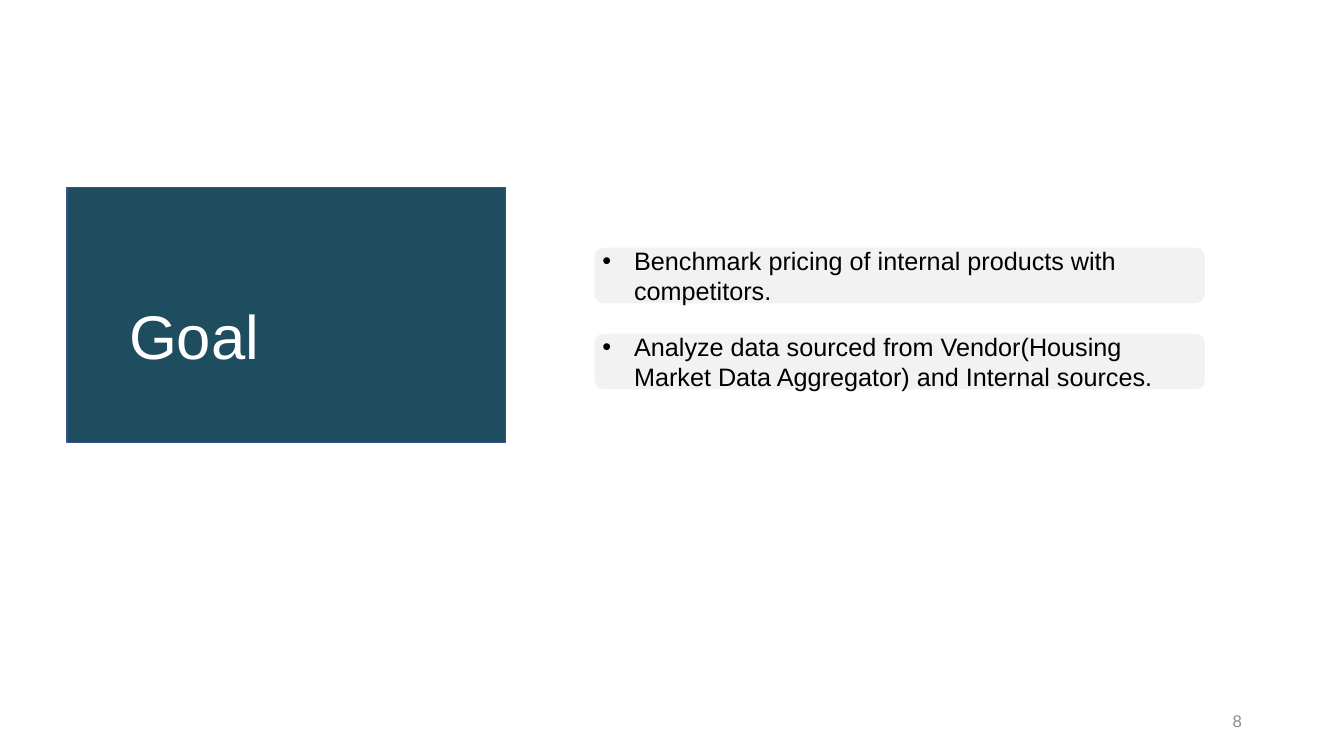
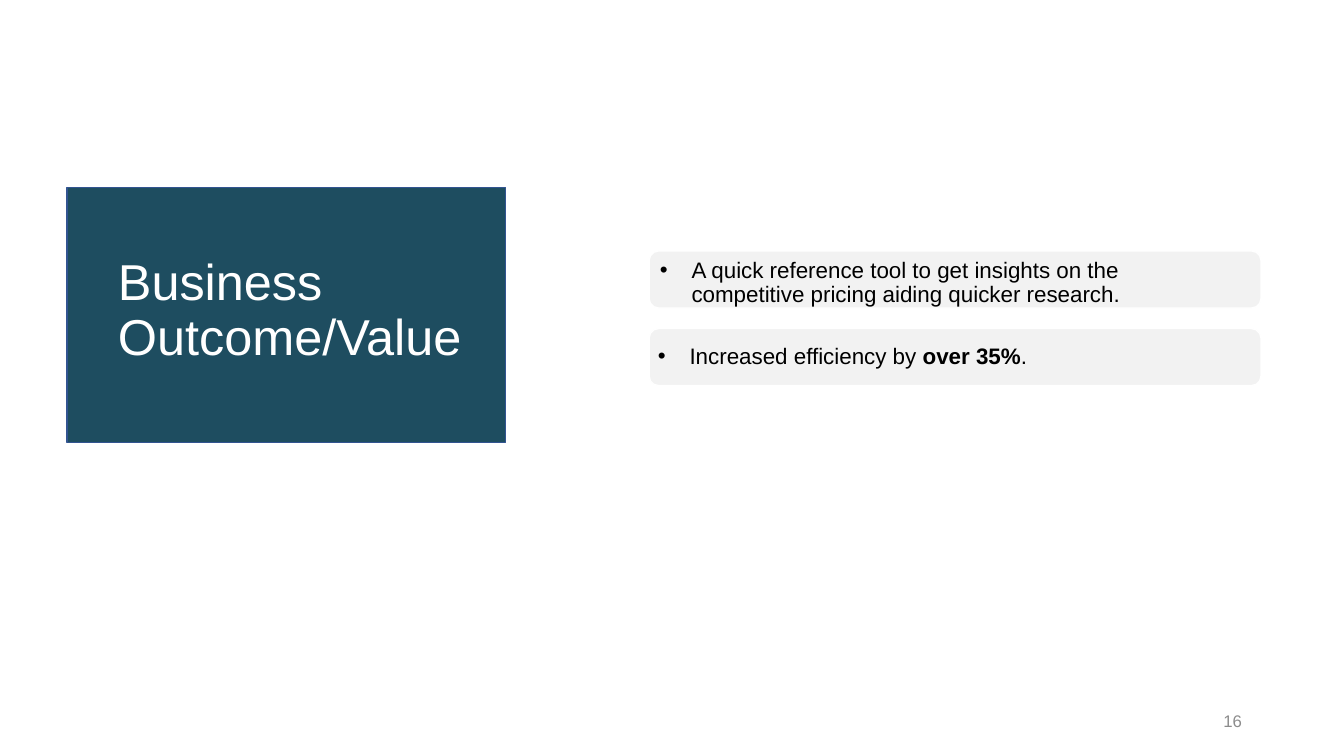
from lxml import etree
from pptx import Presentation
from pptx.dml.color import RGBColor
from pptx.enum.shapes import MSO_SHAPE
from pptx.enum.text import MSO_ANCHOR, MSO_AUTO_SIZE, PP_ALIGN
from pptx.oxml.ns import qn
from pptx.util import Inches, Pt

RECT, ROUNDED = MSO_SHAPE.RECTANGLE, MSO_SHAPE.ROUNDED_RECTANGLE
MIDDLE, NO_FIT = MSO_ANCHOR.MIDDLE, MSO_AUTO_SIZE.NONE
LEFT, RIGHT = PP_ALIGN.LEFT, PP_ALIGN.RIGHT

WIDTH, HEIGHT = Inches(13.33), Inches(7.5)
CELL = WIDTH / 40
TITLE_ONLY = 5
FONT = "Arial"
TEAL, BLUE, PALE = "1E4D60", "325491", "F2F2F2"
WHITE, BLACK, GREY = "FFFFFF", "000000", "8C8C8C"

BAND = (2, 5.58, 13.05, 7.59)
NUMBER = (28.26, 20.85, 9, 1.2)
PILL_W, PILL_H = 18.21, 1.7
INDENT = 0.94
PLAIN_INSETS = (0.18, 0.18, 0.18, 0.18)
NARROW_INSETS = (0.24, 0.24, 1.92, 0)

SLIDES = [
    {
        "title": "Goal", "title_size": 44, "title_box": (1.54, 2.34, 9.21, 4.35),
        "number": "8", "origin": (17.67, 7.35), "step": 2.56,
        "size": 18, "spacing": 1.0,
        "items": [
            (PLAIN_INSETS, [("Benchmark pricing of internal products with competitors.", False)]),
            (PLAIN_INSETS, [("Analyze data sourced from Vendor(Housing Market Data Aggregator) "
                             "and Internal sources.", False)]),
        ],
    },
    {
        "title": "Business Outcome/Value", "title_size": 36, "title_box": (1.21, 1.8, 13.29, 3.81),
        "number": "16", "origin": (19.32, 7.47), "step": 2.31,
        "size": 16, "spacing": 0.9,
        "items": [
            (NARROW_INSETS, [("A quick reference tool to get insights on the competitive "
                              "pricing aiding quicker research.", False)]),
            (PLAIN_INSETS, [("Increased efficiency by ", False), ("over 35%", True), (".", False)]),
        ],
    },
]


def rgb(color):
    """Turn a hex string into a colour."""
    return RGBColor.from_string(color)


def cells(*values):
    """Turn grid cells into lengths."""
    return [round(v * CELL) for v in values]


def apply(target, formats):
    """Set each attribute of the target from a dict."""
    for name, value in formats.items():
        setattr(target, name, value)


def add_box(s, kind, box, fill, line):
    """Add a filled and outlined preset shape."""
    sp = s.shapes.add_shape(kind, *cells(*box))
    sp.shadow.inherit = False
    sp.fill.solid()
    sp.fill.fore_color.rgb = rgb(fill)
    sp.line.color.rgb = rgb(line)
    sp.line.width = Pt(1)
    return sp


def add_bullet(p):
    """Give the paragraph a hanging bullet."""
    indent = cells(INDENT)[0]
    pPr = p._p.get_or_add_pPr()
    pPr.set("marL", str(indent))
    pPr.set("indent", str(-indent))
    etree.SubElement(pPr, qn("a:buFont")).set("typeface", FONT)
    etree.SubElement(pPr, qn("a:buChar")).set("char", "•")


def write(sp, runs, size, color, align=LEFT, spacing=1.0, insets=None, bullet=False):
    """Write one formatted paragraph into a shape."""
    tf = sp.text_frame
    apply(tf, {"word_wrap": True, "auto_size": NO_FIT, "vertical_anchor": MIDDLE})
    if insets:
        sides = ("margin_left", "margin_top", "margin_right", "margin_bottom")
        apply(tf, dict(zip(sides, cells(*insets))))
    p = tf.paragraphs[0]
    apply(p, {"alignment": align, "line_spacing": spacing})
    if bullet:
        add_bullet(p)
    for text, bold in runs:
        r = p.add_run()
        r.text = text
        apply(r.font, {"name": FONT, "size": Pt(size), "bold": bold})
        r.font.color.rgb = rgb(color)


def add_title_band(s, box, title_box, title, size):
    """Draw the band with the title on top of it."""
    add_box(s, RECT, box, TEAL, BLUE)
    sp = s.shapes.title
    s.shapes._spTree.append(sp._element)
    dx, dy, w, h = title_box
    sides = ("left", "top", "width", "height")
    apply(sp, dict(zip(sides, cells(box[0] + dx, box[1] + dy, w, h))))
    write(sp, [(title, False)], size, WHITE, spacing=0.9)


def add_pills(s, origin, step, items, size, spacing):
    """Stack the bulleted pills at equal steps from the origin."""
    x, y = origin
    for i, (insets, runs) in enumerate(items):
        sp = add_box(s, ROUNDED, (x, y + i * step, PILL_W, PILL_H), PALE, WHITE)
        write(sp, runs, size, BLACK, spacing=spacing, insets=insets, bullet=True)


def add_number(s, box, number):
    """Add the page number."""
    sp = s.shapes.add_textbox(*cells(*box))
    write(sp, [(number, False)], 12, GREY, align=RIGHT)


def build_slide(prs, data):
    """Build one slide with a title band and pills."""
    s = prs.slides.add_slide(prs.slide_layouts[TITLE_ONLY])
    add_title_band(s, BAND, data["title_box"], data["title"], data["title_size"])
    add_pills(s, data["origin"], data["step"], data["items"], data["size"], data["spacing"])
    add_number(s, NUMBER, data["number"])


def main():
    """Build and save the presentation."""
    prs = Presentation()
    apply(prs, {"slide_width": WIDTH, "slide_height": HEIGHT})
    for data in SLIDES:
        build_slide(prs, data)
    prs.save("out.pptx")


if __name__ == "__main__":
    main()
